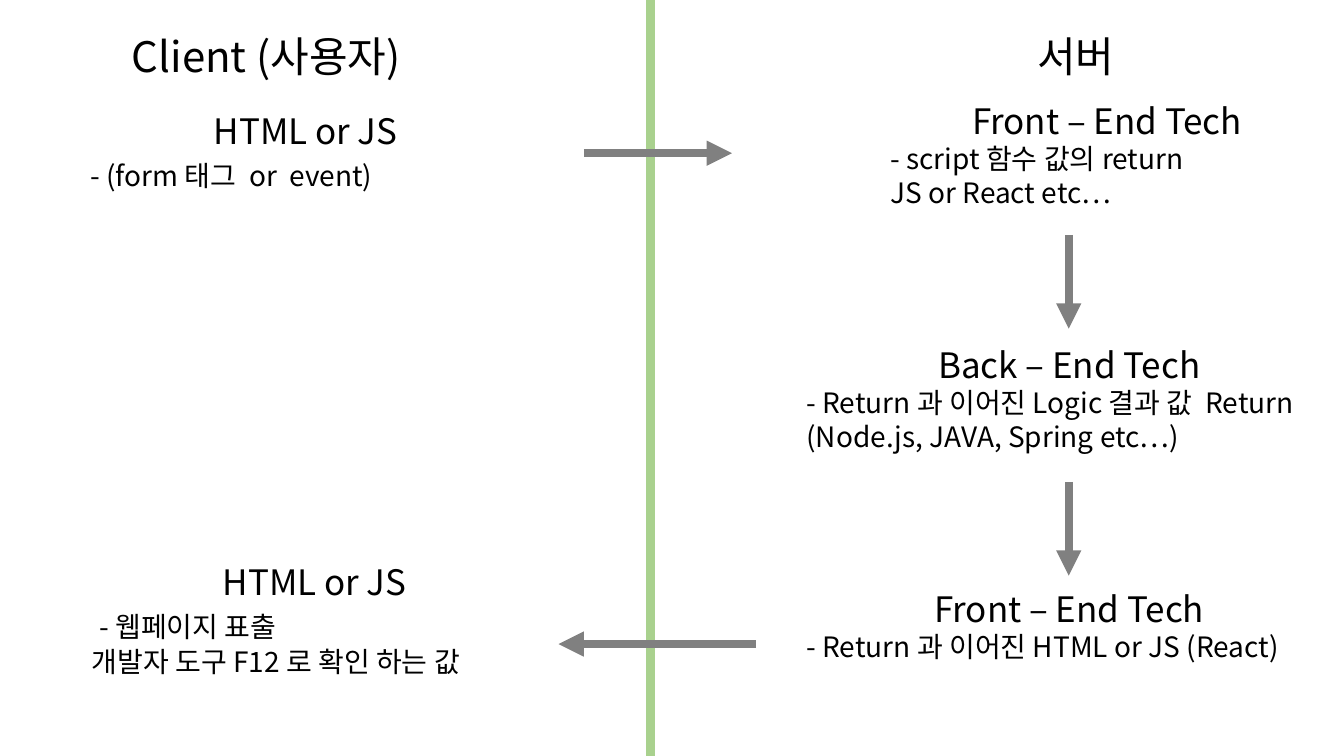
"""Build the slide on how a client and a server exchange a request."""
import pptx
import pptx.dml.color
import pptx.enum.shapes
import pptx.enum.text
import pptx.oxml
import pptx.oxml.ns
import pptx.util

Inches = pptx.util.Inches
FONT = "Noto Sans CJK KR"
BLACK, GRAY, GREEN = "000000", "808080", "A9D18E"
TITLE, HEAD, BODY = 30, 25, 20
WIDTH, HEIGHT = 13.33, 7.5
MID, DOWN = 6.45, 10.6

TITLES = [
    ((1.21, 0.25, 3.2, 0.61), "Client (사용자)"),
    ((10.19, 0.25, 1.93, 0.61), "서버"),
]
STEPS = [
    ((0.72, 1.04, 4.62, 0.94), "HTML or JS",
     [[(" ", HEAD), ("- (form 태그  or  event)", BODY)]]),
    ((8.67, 0.94, 4.62, 1.19), "Front – End Tech",
     [[(" - script 함수 값의 return", BODY)], [(" JS or React etc…", BODY)]]),
    ((7.9, 3.36, 5.41, 1.19), "Back – End Tech",
     [[("- Return 과 이어진 Logic 결과 값  Return", BODY)],
      [("(Node.js, JAVA, Spring etc…)", BODY)]]),
    ((7.9, 5.78, 5.41, 0.86), "Front – End Tech",
     [[("- Return 과 이어진 HTML or JS (React)", BODY)]]),
    ((0.81, 5.51, 4.62, 1.28), "HTML or JS",
     [[(" ", HEAD), ("- 웹페이지 표출", BODY)],
      [("개발자 도구 F12 로 확인 하는 값", BODY)]]),
]
BORDER = (MID, 0, MID, HEIGHT)
ARROWS = [
    (5.79, 1.52, 7.26, 1.52),
    (DOWN, 2.33, DOWN, 3.26),
    (DOWN, 4.78, DOWN, 5.71),
    (7.5, 6.39, 5.54, 6.39),
]


def paint(hue):
    """Turn a hex string into a colour."""
    return pptx.dml.color.RGBColor.from_string(hue)


def add_part(node, tag, **attrs):
    """Append an empty drawing element to a node."""
    part = pptx.oxml.parse_xml(f"<{tag} {pptx.oxml.ns.nsdecls('a')}/>")
    for key, value in attrs.items():
        part.set(key, value)
    node.append(part)


def add_text(slide, place, lines):
    """Add a text box whose lines are pairs of alignment and runs."""
    box = slide.shapes.add_textbox(*map(Inches, place))
    frame = box.text_frame
    frame.word_wrap = True
    frame.auto_size = pptx.enum.text.MSO_AUTO_SIZE.SHAPE_TO_FIT_TEXT
    for i, (align, runs) in enumerate(lines):
        para = frame.add_paragraph() if i else frame.paragraphs[0]
        para.alignment = align
        for text, size in runs:
            run = para.add_run()
            run.text = text
            style = {"name": FONT, "size": pptx.util.Pt(size)}
            for key, value in style.items():
                setattr(run.font, key, value)
            run.font.color.rgb = paint(BLACK)
            add_part(run.font._element, "a:ea", typeface=FONT)


def add_line(slide, ends, hue, arrow=False):
    """Add a thick straight line, with an arrowhead if asked."""
    line = slide.shapes.add_connector(
        pptx.enum.shapes.MSO_CONNECTOR.STRAIGHT, *map(Inches, ends))
    line.line.width = pptx.util.Pt(6)
    line.line.color.rgb = paint(hue)
    if arrow:
        add_part(line.line._get_or_add_ln(), "a:tailEnd", type="triangle")
    add_part(line._element.spPr, "a:effectLst")


deck = pptx.Presentation()
deck.slide_width, deck.slide_height = Inches(WIDTH), Inches(HEIGHT)
slide = deck.slides.add_slide(deck.slide_layouts[6])
LEFT = pptx.enum.text.PP_ALIGN.LEFT
CENTER = pptx.enum.text.PP_ALIGN.CENTER

add_line(slide, BORDER, GREEN)
for ends in ARROWS:
    add_line(slide, ends, GRAY, arrow=True)
for place, text in TITLES:
    add_text(slide, place, [(LEFT, [(text, TITLE)])])
for place, head, body in STEPS:
    lines = [(CENTER, [(head, HEAD)])] + [(LEFT, runs) for runs in body]
    add_text(slide, place, lines)

deck.save("out.pptx")
